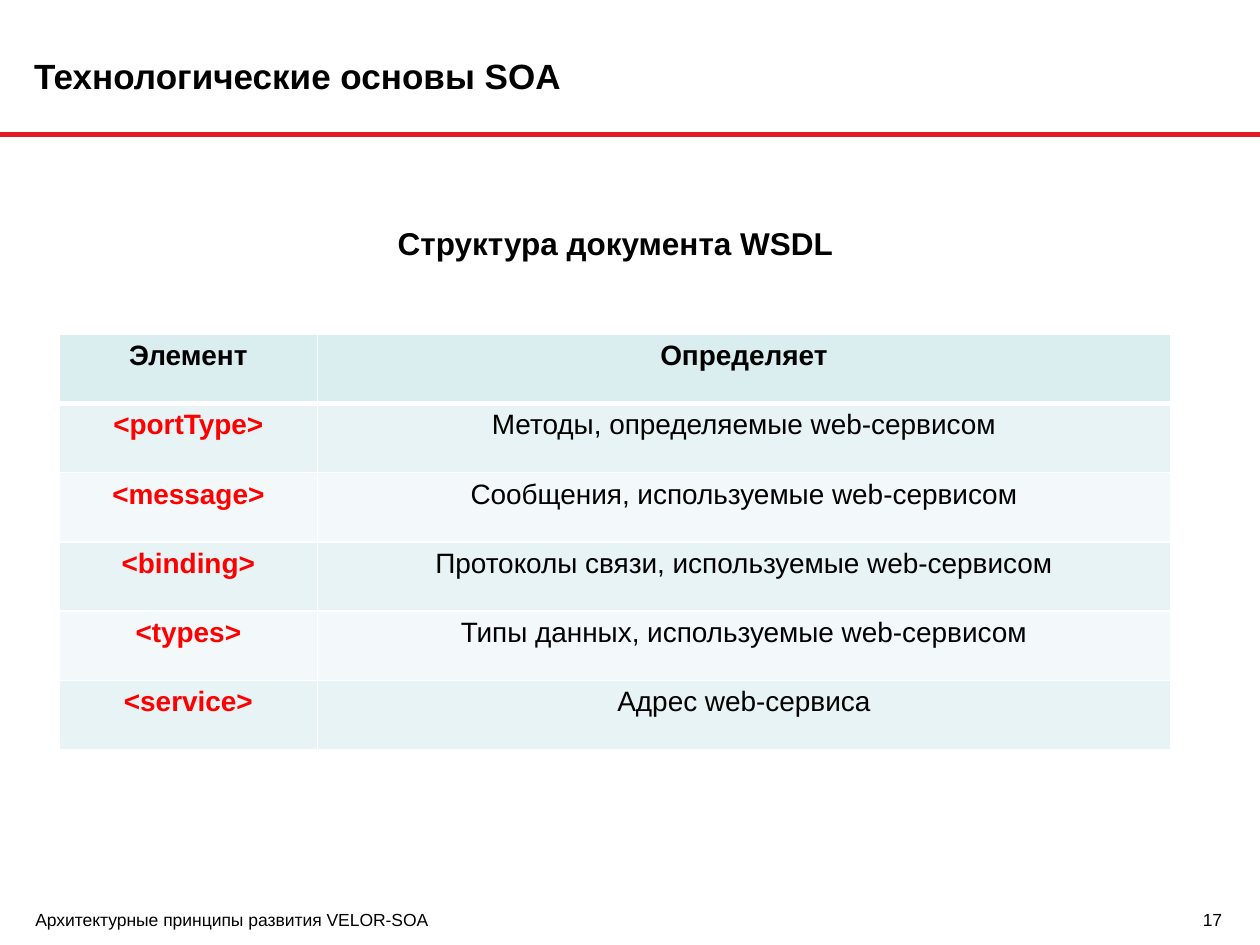
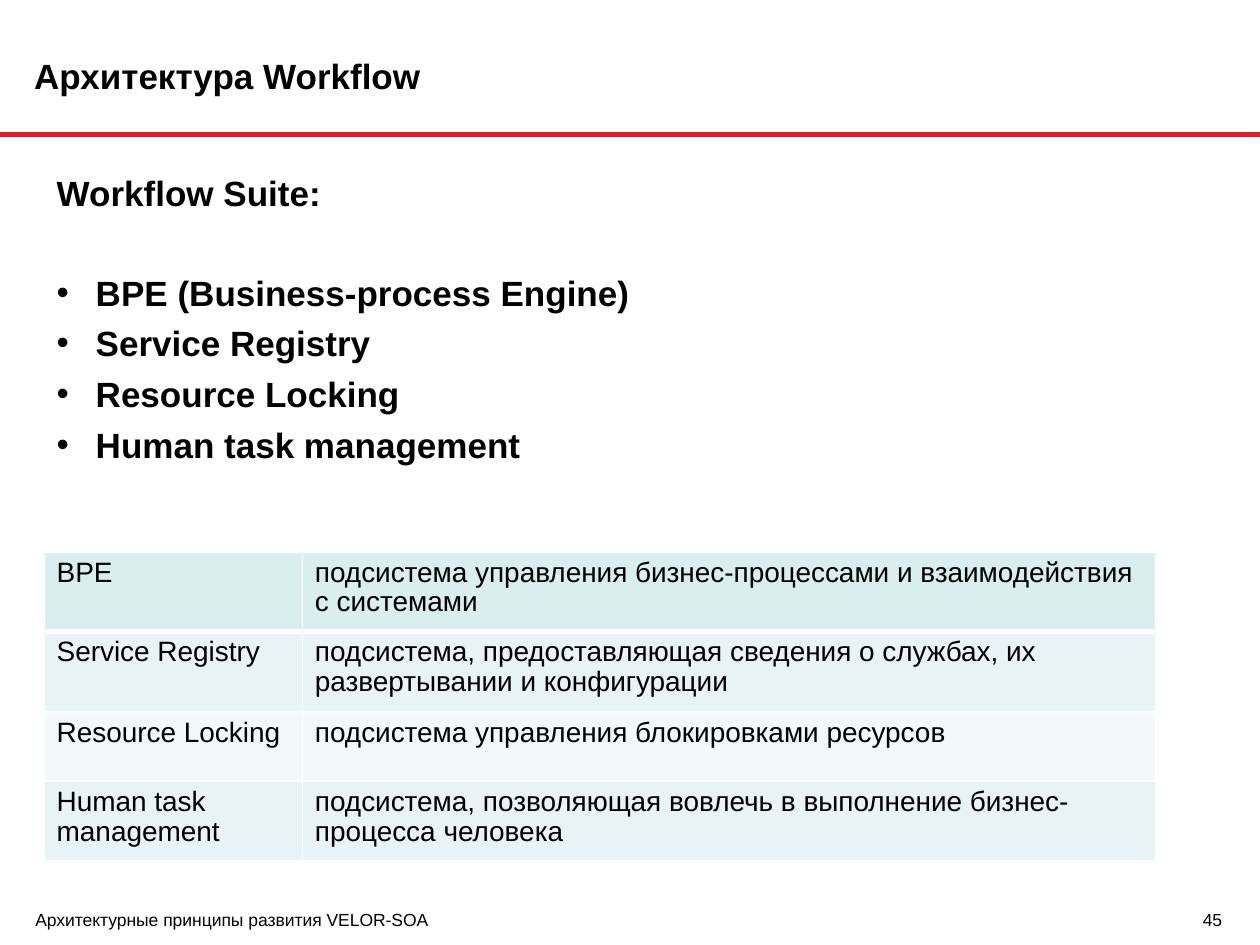
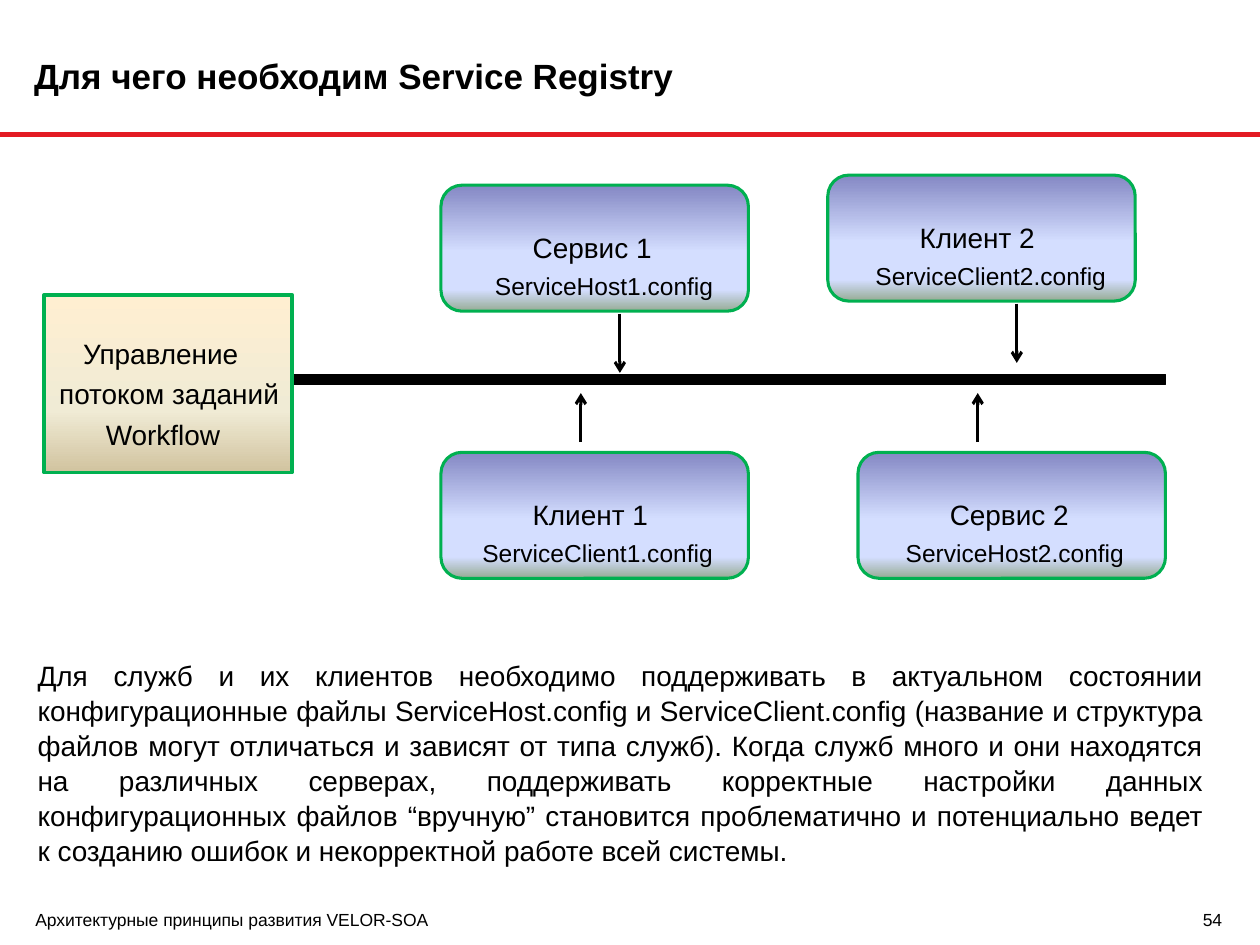
from dataclasses import dataclass

from lxml.etree import SubElement
from pptx import Presentation
from pptx.dml.color import RGBColor
from pptx.enum.shapes import MSO_CONNECTOR, MSO_SHAPE
from pptx.enum.text import MSO_ANCHOR, MSO_AUTO_SIZE, PP_ALIGN
from pptx.oxml.ns import qn
from pptx.util import Inches, Pt

FONT = "Arial"
FOOTER = "Архитектурные принципы развития VELOR-SOA"
COLORS = {
    "text": "000000", "rule": "E31B23", "tag": "FF0000", "edge": "00B050",
    "head": "DAEDEF", "odd": "E7F3F4", "even": "F3F9FA", "grid": "FFFFFF",
}
SAND = [(0, "FFEFD1"), (65, "F0EBD5"), (100, "D1C39F")]
BLUE = [(0, "8488C4"), (53, "D4DEFF"), (83, "D4DEFF"), (100, "96AB94")]


@dataclass
class Area:
    left: float
    top: float
    width: float
    height: float

    def spans(self) -> list:
        return [Inches(n) for n in (self.left, self.top, self.width, self.height)]


@dataclass
class Line:
    text: str
    size: float = 16
    bold: bool = False
    color: str = "text"
    align: PP_ALIGN = PP_ALIGN.LEFT
    before: float = 0
    indent: float = 0
    bullet: bool = False
    pitch: float = 1.0


@dataclass
class Node:
    area: Area
    kind: MSO_SHAPE
    stops: list
    edge: float
    inset: float
    lines: list


@dataclass
class Arrow:
    x: float
    start: float
    end: float


# Shared drawing functions
def shade(key: str) -> RGBColor:
    return RGBColor.from_string(COLORS[key])


def write(frame, lines: list, anchor=MSO_ANCHOR.TOP, inset=None) -> None:
    """Fill a text frame; inset sets the top margin and clears the others."""
    frame.word_wrap = True
    frame.auto_size = MSO_AUTO_SIZE.NONE
    frame.vertical_anchor = anchor
    if inset is not None:
        frame.margin_left = frame.margin_right = frame.margin_bottom = 0
        frame.margin_top = Inches(inset)
    for i, line in enumerate(lines):
        para = frame.paragraphs[0] if i == 0 else frame.add_paragraph()
        style(para, line)


def style(para, line: Line) -> None:
    para.text = line.text
    para.alignment = line.align
    para.space_before = Pt(line.before)
    para.line_spacing = line.pitch
    font = para.font
    font.name, font.size, font.bold = FONT, Pt(line.size), line.bold
    font.color.rgb = shade(line.color)
    props = para._p.get_or_add_pPr()
    indent = Inches(line.indent)
    props.set("marL", str(indent))
    props.set("indent", str(-indent if line.bullet else 0))
    mark = props.makeelement(qn("a:buChar" if line.bullet else "a:buNone"))
    if line.bullet:
        mark.set("char", "•")
    props.find(qn("a:defRPr")).addprevious(mark)


def label(slide, area: Area, lines: list, **kwargs) -> None:
    write(slide.shapes.add_textbox(*area.spans()).text_frame, lines, **kwargs)


def place(holder, area: Area) -> None:
    holder.left, holder.top, holder.width, holder.height = area.spans()


def rule(slide, start: tuple, end: tuple, color: str, width: float, arrow=False) -> None:
    ends = [Inches(n) for n in (*start, *end)]
    line = slide.shapes.add_connector(MSO_CONNECTOR.STRAIGHT, *ends)
    line.line.color.rgb = shade(color)
    line.line.width = Pt(width)
    props = line.element.spPr
    if arrow:
        SubElement(props.find(qn("a:ln")), qn("a:tailEnd"), type="arrow")
    SubElement(props, qn("a:effectLst"))


def begin(deck, layout: int, title: str, number: int):
    """Add a slide with its title, red rule and footer."""
    slide = deck.slides.add_slide(deck.slide_layouts[layout])
    rule(slide, (0, 1.07), (10, 1.07), "rule", 3)
    head = slide.shapes.title
    place(head, Area(0.27, 0.13, 8.43, 0.94))
    write(head.text_frame, [Line(title, 20, True)], MSO_ANCHOR.MIDDLE, 0)
    label(slide, Area(0.28, 7.14, 8.89, 0.24), [Line(FOOTER, 10)],
          anchor=MSO_ANCHOR.BOTTOM, inset=0)
    label(slide, Area(9.27, 7.14, 0.43, 0.24),
          [Line(str(number), 10, align=PP_ALIGN.RIGHT)],
          anchor=MSO_ANCHOR.BOTTOM, inset=0)
    return slide


def border(cell, low: float) -> None:
    props = cell._tc.get_or_add_tcPr()
    for i, (side, width) in enumerate((("L", 1), ("R", 1), ("T", 1), ("B", low))):
        edge = props.makeelement(qn(f"a:ln{side}"), {"w": str(Pt(width))})
        fill = SubElement(edge, qn("a:solidFill"))
        SubElement(fill, qn("a:srgbClr"), val=COLORS["grid"])
        props.insert(i, edge)


def grid(slide, left: float, top: float, heights: list, rows: list) -> None:
    """Draw a two-column table; each cell holds a list of lines."""
    area = Area(left, top, 8.82, sum(heights))
    table = slide.shapes.add_table(len(rows), 2, *area.spans()).table
    table.horz_banding = False
    for col, width in zip(table.columns, (2.05, 6.77)):
        col.width = Inches(width)
    for r, (row, height) in enumerate(zip(rows, heights)):
        table.rows[r].height = Inches(height)
        tint = "head" if r == 0 else "odd" if r % 2 else "even"
        for c, lines in enumerate(row):
            cell = table.cell(r, c)
            write(cell.text_frame, lines)
            cell.fill.solid()
            cell.fill.fore_color.rgb = shade(tint)
            border(cell, 1 if r else 3)


def block(slide, node: Node) -> None:
    shape = slide.shapes.add_shape(node.kind, *node.area.spans())
    shape.shadow.inherit = False
    shape.fill.gradient()
    shape.fill.gradient_angle = 270
    stops = shape.element.spPr.find(qn("a:gradFill")).find(qn("a:gsLst"))
    for stop in list(stops):
        stops.remove(stop)
    for spot, color in node.stops:
        stop = SubElement(stops, qn("a:gs"), pos=str(spot * 1000))
        SubElement(stop, qn("a:srgbClr"), val=color)
    shape.line.color.rgb = shade("edge")
    shape.line.width = Pt(node.edge)
    write(shape.text_frame, node.lines, inset=node.inset)


def peer(left: float, top: float, name: str, file: str, indent: float) -> Node:
    lines = [Line(name, indent=0.68), Line(file, 14, before=4, indent=indent)]
    return Node(Area(left, top, 2.44, 1), MSO_SHAPE.ROUNDED_RECTANGLE,
                BLUE, 1.75, 0.31, lines)


# Slides
def wsdl(deck) -> None:
    slide = begin(deck, 5, "Технологические основы SOA", 17)
    mid = PP_ALIGN.CENTER
    label(slide, Area(0.2, 1.73, 9.37, 0.4),
          [Line("Структура документа WSDL", 18, True, align=mid)])
    parts = [
        ("<portType>", "Методы, определяемые web-сервисом"),
        ("<message>", "Сообщения, используемые web-сервисом"),
        ("<binding>", "Протоколы связи, используемые web-сервисом"),
        ("<types>", "Типы данных, используемые web-сервисом"),
        ("<service>", "Адрес web-сервиса"),
    ]
    rows = [[[Line(name, bold=True, align=mid)] for name in ("Элемент", "Определяет")]]
    rows += [[[Line(tag, bold=True, color="tag", align=mid)], [Line(role, align=mid)]]
             for tag, role in parts]
    grid(slide, 0.47, 2.65, [0.55] * len(rows), rows)


def suite(deck) -> None:
    slide = begin(deck, 1, "Архитектура Workflow", 45)
    items = ["BPE (Business-process Engine)", "Service Registry",
             "Resource Locking", "Human task management"]
    lines = [Line("Workflow Suite:", 20, True)]
    lines += [Line(item, 20, True, before=5 if i else 33, indent=0.31, bullet=True)
              for i, item in enumerate(items)]
    body = slide.placeholders[1]
    place(body, Area(0.35, 1.31, 5.98, 2.46))
    write(body.text_frame, lines)
    parts = [
        (["BPE"], "подсистема управления бизнес-процессами и взаимодействия с системами"),
        (["Service Registry"],
         "подсистема, предоставляющая сведения о службах, их развертывании и конфигурации"),
        (["Resource Locking"], "подсистема управления блокировками ресурсов"),
        (["Human task", "management"],
         "подсистема, позволяющая вовлечь в выполнение бизнес-процесса человека"),
    ]
    rows = [[[Line(name, pitch=0.96) for name in names], [Line(role, pitch=0.96)]]
            for names, role in parts]
    grid(slide, 0.35, 4.38, [0.63, 0.64, 0.55, 0.63], rows)


def registry(deck) -> None:
    slide = begin(deck, 5, "Для чего необходим Service Registry", 54)
    # Bus
    bus = slide.shapes.add_shape(MSO_SHAPE.RECTANGLE, *Area(2.32, 2.97, 6.93, 0.08).spans())
    bus.shadow.inherit = False
    bus.fill.solid()
    bus.fill.fore_color.rgb = bus.line.color.rgb = shade("text")
    bus.line.width = Pt(0.75)
    # Arrows
    for arrow in (Arrow(4.92, 2.49, 2.96), Arrow(4.61, 3.51, 3.12),
                  Arrow(8.07, 2.41, 2.88), Arrow(7.76, 3.51, 3.12)):
        rule(slide, (arrow.x, arrow.start), (arrow.x, arrow.end), "text", 1.75, True)
    # Workflow, services and clients
    flow = [Line("Управление", indent=0.31),
            Line("потоком заданий", before=4, indent=0.12),
            Line("Workflow", before=4, indent=0.49)]
    nodes = [
        Node(Area(0.35, 2.34, 1.97, 1.41), MSO_SHAPE.RECTANGLE, SAND, 2, 0.33, flow),
        peer(3.5, 1.47, "Сервис 1", "ServiceHost1.config", 0.38),
        peer(6.57, 1.39, "Клиент 2", "ServiceClient2.config", 0.33),
        peer(3.5, 3.59, "Клиент 1", "ServiceClient1.config", 0.28),
        peer(6.81, 3.59, "Сервис 2", "ServiceHost2.config", 0.33),
    ]
    for node in nodes:
        block(slide, node)
    # Explanation
    label(slide, Area(0.2, 5.17, 9.45, 1.72), [Line(
        "Для служб и их клиентов необходимо поддерживать в актуальном состоянии "
        "конфигурационные файлы ServiceHost.config и ServiceClient.config (название "
        "и структура файлов могут отличаться и зависят от типа служб). Когда служб "
        "много и они находятся на различных серверах, поддерживать корректные "
        "настройки данных конфигурационных файлов “вручную” становится проблематично "
        "и потенциально ведет к созданию ошибок и некорректной работе всей системы.",
        align=PP_ALIGN.JUSTIFY, pitch=1.04)])


def main() -> None:
    deck = Presentation()
    deck.slide_width, deck.slide_height = Inches(10), Inches(7.5)
    for draw in (wsdl, suite, registry):
        draw(deck)
    deck.save("out.pptx")


if __name__ == "__main__":
    main()
